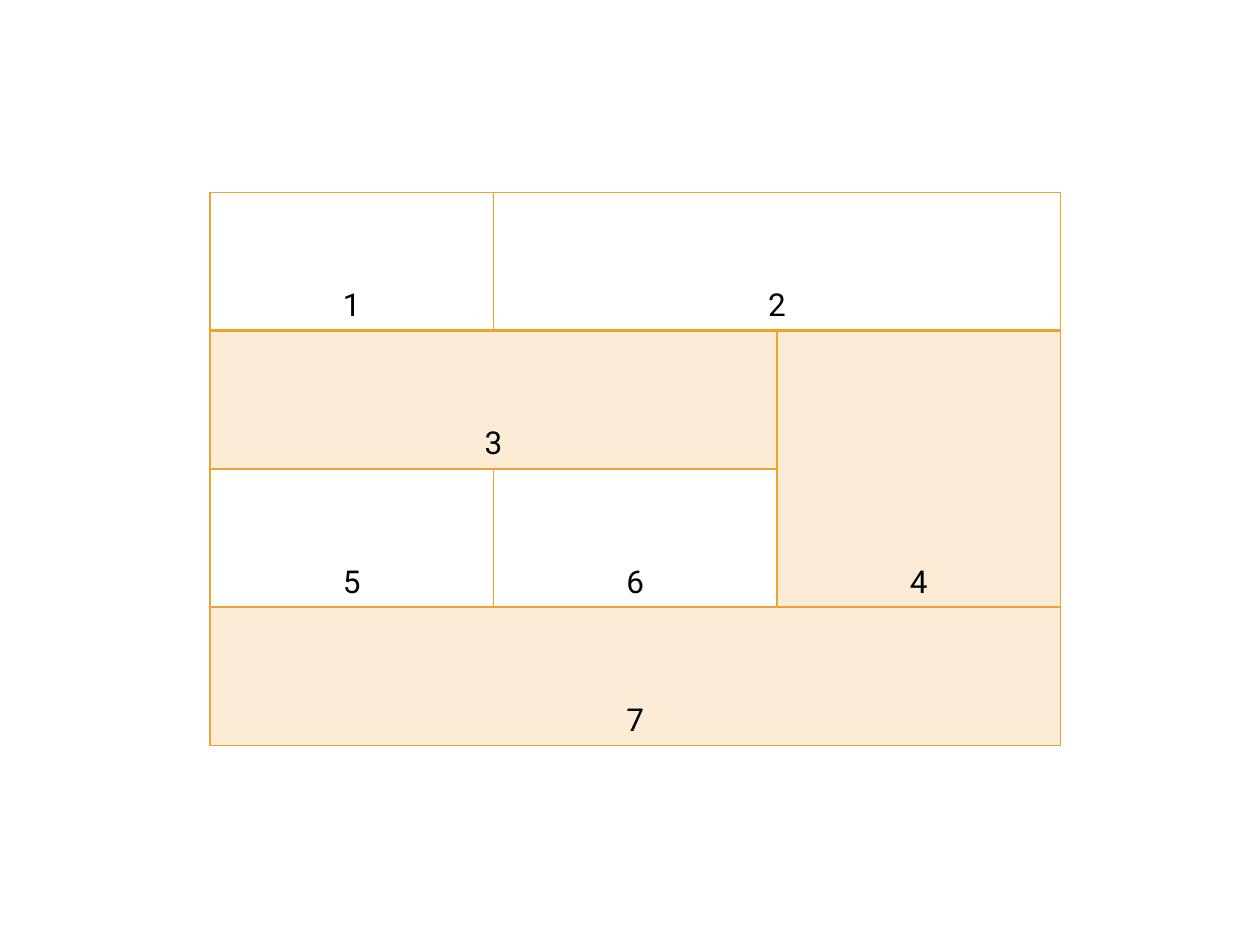
from dataclasses import dataclass

import pptx
import pptx.dml.color
import pptx.enum.text
import pptx.oxml
import pptx.oxml.ns
import pptx.util
from lxml import etree

Pt = pptx.util.Pt
qn = pptx.oxml.ns.qn


@dataclass(frozen=True)
class Theme:
    accent: str = "F0A22E"
    ink: str = "000000"
    tint_percent: int = 20
    font: str = "Roboto"
    number_size: int = 18
    thin: int = 1
    thick: int = 2


def write_text(frame, text, *, font, size, color, align):
    paragraph = frame.paragraphs[0]
    paragraph.alignment = align
    run = paragraph.add_run()
    run.text = text
    run.font.name = font
    run.font.size = Pt(size)
    run.font.color.rgb = pptx.dml.color.RGBColor.from_string(color)


class SlideBuilder:
    def __init__(self, slide, theme):
        self.slide = slide
        self.theme = theme

    def add_grid(self, left, top, column_width, row_height, columns, rows):
        grid = self.slide.shapes.add_table(
            rows, columns, Pt(left), Pt(top),
            Pt(column_width * columns), Pt(row_height * rows)).table
        grid.first_row = False
        grid.horz_banding = False
        return grid

    def style_cell(self, cell, shaded, thick_sides=""):
        theme = self.theme
        if shaded:
            cell.fill.solid()
            cell.fill.fore_color.rgb = pptx.dml.color.RGBColor.from_string(theme.accent)
        else:
            cell.fill.background()
        properties = cell._tc.get_or_add_tcPr()
        for color in properties.iter(qn("a:srgbClr")):
            etree.SubElement(color, qn("a:alpha"), val=str(theme.tint_percent * 1000))

        # Borders come before the fill, in the order left, right, top, bottom
        for position, side in enumerate("LRTB"):
            width = theme.thick if side in thick_sides else theme.thin
            line = etree.Element(qn(f"a:ln{side}"), w=str(Pt(width)))
            fill = etree.SubElement(line, qn("a:solidFill"))
            etree.SubElement(fill, qn("a:srgbClr"), val=theme.accent)
            properties.insert(position, line)

    def add_number(self, cell, number):
        cell.vertical_anchor = pptx.enum.text.MSO_ANCHOR.BOTTOM
        write_text(cell.text_frame, number, font=self.theme.font,
                   size=self.theme.number_size, color=self.theme.ink,
                   align=pptx.enum.text.PP_ALIGN.CENTER)


# number, row, column, row span, column span, shaded
AREAS = [
    ("1", 0, 0, 1, 1, False),
    ("2", 0, 1, 1, 2, False),
    ("3", 1, 0, 1, 2, True),
    ("4", 1, 2, 2, 1, True),
    ("5", 2, 0, 1, 1, False),
    ("6", 2, 1, 1, 1, False),
    ("7", 3, 0, 1, 3, True),
]
# The rule under the first row is thicker than the others
THICK_SIDES = {0: "B", 1: "T"}


def main():
    presentation = pptx.Presentation()
    presentation.slide_width = Pt(720)
    presentation.slide_height = Pt(540)
    slide = presentation.slides.add_slide(presentation.slide_layouts[6])
    builder = SlideBuilder(slide, Theme())

    # Numbered areas on a grid of three columns and four rows
    grid = builder.add_grid(120, 110, column_width=162, row_height=79, columns=3, rows=4)
    for number, row, column, row_span, column_span, shaded in AREAS:
        for r in range(row, row + row_span):
            for c in range(column, column + column_span):
                builder.style_cell(grid.cell(r, c), shaded, THICK_SIDES.get(r, ""))
        area = grid.cell(row, column)
        if row_span * column_span > 1:
            area.merge(grid.cell(row + row_span - 1, column + column_span - 1))
        builder.add_number(area, number)

    presentation.save("out.pptx")


if __name__ == "__main__":
    main()
